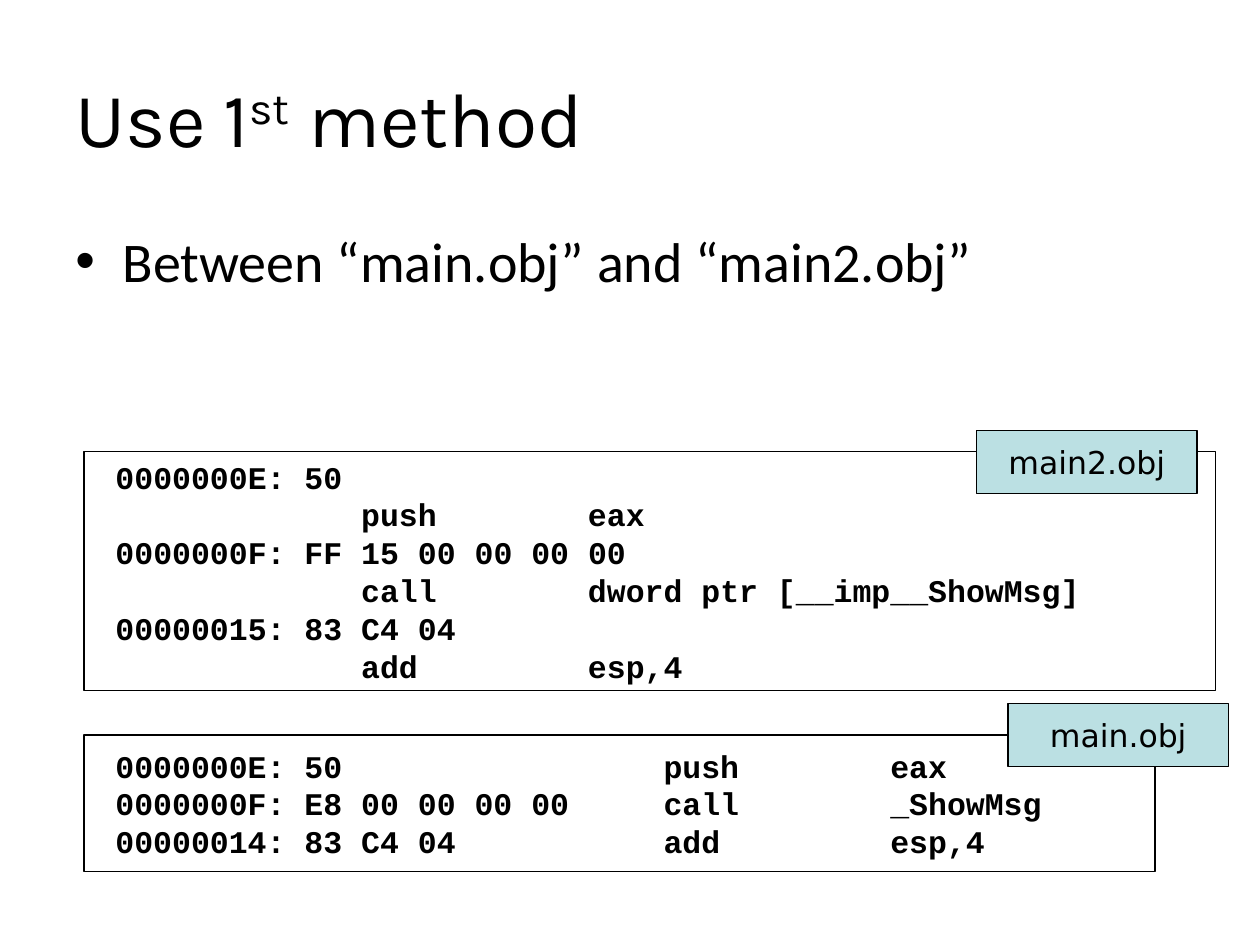
from lxml import etree
from pptx import Presentation
from pptx.dml import color
from pptx.enum import shapes, text
from pptx.oxml import ns
from pptx.util import Pt


def paint(code):
    return color.RGBColor.from_string(code)


def write(para, words, font="Calibri", size=18, bold=False, baseline=0):
    span = para.add_run()
    span.text = words
    span.font.name = font
    span.font.size = Pt(size)
    span.font.bold = bold
    span.font.color.rgb = paint("000000")
    if baseline:
        span._r.get_or_add_rPr().set("baseline", str(baseline))


deck = Presentation()
deck.slide_width, deck.slide_height = Pt(720), Pt(540)
page = deck.slides.add_slide(deck.slide_layouts[6])

title = page.shapes.add_textbox(Pt(36), Pt(21.6), Pt(648), Pt(90)).text_frame
title.word_wrap = True
title.vertical_anchor = text.MSO_ANCHOR.MIDDLE
for words, baseline in (("Use 1", 0), ("st", 30000), (" method", 0)):
    write(title.paragraphs[0], words, font="Karla", size=44, baseline=baseline)

body = page.shapes.add_textbox(Pt(36), Pt(126), Pt(648), Pt(64.8)).text_frame
body.word_wrap = True
bullet = body.paragraphs[0]
bullet.space_before = Pt(8)
write(bullet, "Between “main.obj” and “main2.obj”", size=32)
props = bullet._p.get_or_add_pPr()
props.set("marL", str(Pt(27)))
props.set("indent", str(-Pt(27)))
etree.SubElement(props, ns.qn("a:buFont")).set("typeface", "Arial")
etree.SubElement(props, ns.qn("a:buChar")).set("char", "•")

character = 10.8
listings = (
    (258, 646.5, 136.8, text.MSO_ANCHOR.TOP, (13, 25), (
        "0000000E: 50",
        "\tpush\teax",
        "0000000F: FF 15 00 00 00 00",
        "\tcall\tdword ptr [__imp__ShowMsg]",
        "00000015: 83 C4 04",
        "\tadd\tesp,4",
    )),
    (420, 612, 78, text.MSO_ANCHOR.MIDDLE, (29, 41), (
        "0000000E: 50\tpush\teax",
        "0000000F: E8 00 00 00 00\tcall\t_ShowMsg",
        "00000014: 83 C4 04\tadd\tesp,4",
    )),
)
for top, width, height, anchor, columns, lines in listings:
    box = page.shapes.add_shape(shapes.MSO_SHAPE.RECTANGLE, Pt(48), Pt(top), Pt(width), Pt(height))
    box.shadow.inherit = False
    box.fill.background()
    box.line.color.rgb = paint("000000")
    box.line.width = Pt(0.75)
    frame = box.text_frame
    frame.word_wrap = True
    frame.vertical_anchor = anchor
    frame.margin_left = Pt(18)
    for number, line in enumerate(lines):
        para = frame.add_paragraph() if number else frame.paragraphs[0]
        para.alignment = text.PP_ALIGN.LEFT
        write(para, line, font="Courier New", bold=True)
        stops = etree.SubElement(para._p.get_or_add_pPr(), ns.qn("a:tabLst"))
        for column in columns:
            stop = etree.SubElement(stops, ns.qn("a:tab"))
            stop.set("pos", str(Pt(column * character)))
            stop.set("algn", "l")

for name, left, top in (("main2.obj", 558, 246), ("main.obj", 576, 402)):
    label = page.shapes.add_shape(shapes.MSO_SHAPE.RECTANGLE, Pt(left), Pt(top), Pt(126), Pt(36))
    label.shadow.inherit = False
    label.fill.solid()
    label.fill.fore_color.rgb = paint("BBE0E3")
    label.line.color.rgb = paint("000000")
    label.line.width = Pt(0.75)
    label.text_frame.word_wrap = False
    label.text_frame.vertical_anchor = text.MSO_ANCHOR.MIDDLE
    label.text_frame.paragraphs[0].alignment = text.PP_ALIGN.CENTER
    write(label.text_frame.paragraphs[0], name, font="DejaVu Sans")

deck.save("out.pptx")
